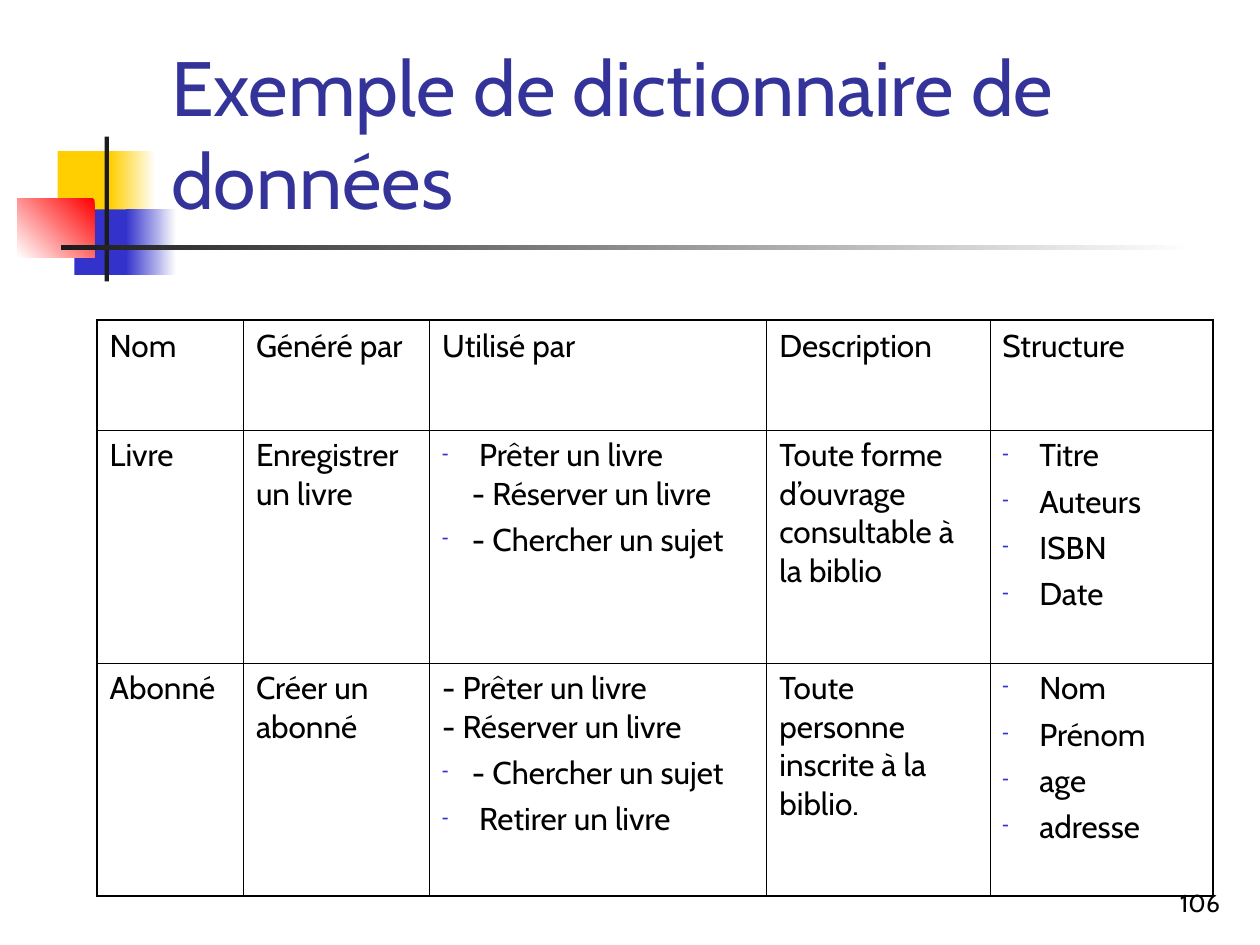
from dataclasses import dataclass
from typing import Any

from lxml import etree
from pptx import Presentation
from pptx.dml.color import RGBColor
from pptx.enum.shapes import MSO_SHAPE
from pptx.enum.text import MSO_ANCHOR, PP_ALIGN
from pptx.oxml.ns import qn
from pptx.util import Pt

RECTANGLE = MSO_SHAPE.RECTANGLE
BOTTOM = MSO_ANCHOR.BOTTOM
LEFT, RIGHT = PP_ALIGN.LEFT, PP_ALIGN.RIGHT

FONT = "Cabin"
WHITE, BLACK, CHARCOAL = "FFFFFF", "000000", "1C1C1C"
YELLOW, BLUE, RED, TITLE_BLUE = "FFCF01", "3333CC", "FF0000", "333399"
OUTER_BORDER, INNER_BORDER = 1.08, 0.45
BULLET_INDENT = 17
PARAGRAPH_GAP = 4.5


@dataclass
class Block:
    """Rectangle of the ornament; it fades to end_color when one is given."""
    left: float
    top: float
    width: float
    height: float
    color: str
    end_color: str = ""
    angle: float = 0  # counter-clockwise


@dataclass
class Entry:
    """Paragraph of a table cell."""
    text: str
    bulleted: bool = False


ORNAMENT = [
    Block(33, 86.4, 34.5, 37.5, YELLOW),
    Block(63, 86.4, 26, 37.5, WHITE, YELLOW, 180),
    Block(42.5, 119.6, 33, 37.5, BLUE),
    Block(72, 119.6, 28.8, 37.5, WHITE, BLUE, 180),
    Block(10, 113.6, 44, 33.4, RED, WHITE, 225),
    Block(59.8, 78, 2.5, 82.8, CHARCOAL),
    Block(34.7, 140.2, 648, 2.5, WHITE, CHARCOAL, 180),
]


def bullets(*texts: str) -> list[Entry]:
    return [Entry(text, True) for text in texts]


COLUMN_WIDTHS = [83.6, 106.4, 192.7, 127.5, 127.5]
ROW_HEIGHTS = [62.8, 133.1, 133.1]
DICTIONARY = [
    [[Entry(heading)] for heading in
     ("Nom", "Généré par", "Utilisé par", "Description", "Structure")],
    [
        [Entry("Livre")],
        [Entry("Enregistrer un livre")],
        bullets(" Prêter un livre\v- Réserver un livre", "- Chercher un sujet"),
        [Entry("Toute forme d’ouvrage consultable à la biblio")],
        bullets(" Titre", " Auteurs", " ISBN", " Date"),
    ],
    [
        [Entry("Abonné")],
        [Entry("Créer un abonné")],
        [Entry("- Prêter un livre\v- Réserver un livre"),
         *bullets("- Chercher un sujet", " Retirer un livre")],
        [Entry("Toute personne inscrite à la biblio.")],
        bullets(" Nom", " Prénom", " age", " adresse"),
    ],
]


def rgb(color: str) -> RGBColor:
    return RGBColor.from_string(color)


def set_all(target: Any, values: dict[str, Any]) -> None:
    for attribute, value in values.items():
        setattr(target, attribute, value)


def style_runs(paragraph: Any, size: float, color: str) -> None:
    for run in paragraph.runs:
        set_all(run.font, {"name": FONT, "size": Pt(size)})
        run.font.color.rgb = rgb(color)


def add_block(slide: Any, block: Block) -> None:
    rectangle = slide.shapes.add_shape(
        RECTANGLE, Pt(block.left), Pt(block.top), Pt(block.width), Pt(block.height))
    rectangle.shadow.inherit = False
    rectangle.line.fill.background()
    fill = rectangle.fill
    if block.end_color:
        fill.gradient()
        fill.gradient_angle = block.angle
        for stop, color in zip(fill.gradient_stops, (block.color, block.end_color)):
            stop.color.rgb = rgb(color)
    else:
        fill.solid()
        fill.fore_color.rgb = rgb(block.color)


def add_label(slide: Any, text: str, left: float, top: float, width: float,
              height: float, size: float, color: str, alignment: Any) -> None:
    frame = slide.shapes.add_textbox(
        Pt(left), Pt(top), Pt(width), Pt(height)).text_frame
    set_all(frame, {"word_wrap": True, "vertical_anchor": BOTTOM, "text": text})
    paragraph = frame.paragraphs[0]
    paragraph.alignment = alignment
    style_runs(paragraph, size, color)


def add_bullet(paragraph: Any) -> None:
    properties = paragraph._p.get_or_add_pPr()
    properties.set("marL", str(Pt(BULLET_INDENT)))
    properties.set("indent", str(-Pt(BULLET_INDENT)))
    bullet_color = etree.SubElement(properties, qn("a:buClr"))
    etree.SubElement(bullet_color, qn("a:srgbClr"), val=BLUE)
    etree.SubElement(properties, qn("a:buSzPct"), val="60000")
    etree.SubElement(properties, qn("a:buChar"), char="-")


def add_borders(cell: Any, widths: dict[str, float]) -> None:
    properties = cell._tc.get_or_add_tcPr()
    for side, width in widths.items():
        border = etree.SubElement(properties, qn(f"a:ln{side}"), w=str(Pt(width)))
        fill = etree.SubElement(border, qn("a:solidFill"))
        etree.SubElement(fill, qn("a:srgbClr"), val=BLACK)


def fill_cell(cell: Any, entries: list[Entry]) -> None:
    frame = cell.text_frame
    for index, entry in enumerate(entries):
        paragraph = frame.add_paragraph() if index else frame.paragraphs[0]
        paragraph.text = entry.text
        if entry.bulleted:
            add_bullet(paragraph)
        if index:
            paragraph.space_before = Pt(PARAGRAPH_GAP)
        style_runs(paragraph, 18, BLACK)


def add_dictionary(slide: Any, left: float, top: float) -> None:
    last_row, last_column = len(ROW_HEIGHTS) - 1, len(COLUMN_WIDTHS) - 1
    table = slide.shapes.add_table(
        len(ROW_HEIGHTS), len(COLUMN_WIDTHS), Pt(left), Pt(top),
        Pt(sum(COLUMN_WIDTHS)), Pt(sum(ROW_HEIGHTS))).table
    set_all(table, {"first_row": False, "horz_banding": False})
    for column, width in zip(table.columns, COLUMN_WIDTHS):
        column.width = Pt(width)
    for row, height in zip(table.rows, ROW_HEIGHTS):
        row.height = Pt(height)
    for r, row_entries in enumerate(DICTIONARY):
        for c, entries in enumerate(row_entries):
            cell = table.cell(r, c)
            on_edge = {"L": c == 0, "R": c == last_column,
                       "T": r == 0, "B": r == last_row}
            add_borders(cell, {side: OUTER_BORDER if outer else INNER_BORDER
                               for side, outer in on_edge.items()})
            cell.fill.background()
            fill_cell(cell, entries)


def main() -> None:
    presentation = Presentation()
    set_all(presentation, {"slide_width": Pt(720), "slide_height": Pt(540)})
    slide = presentation.slides.add_slide(presentation.slide_layouts[6])

    # Ornament and rule beside the title
    for block in ORNAMENT:
        add_block(slide, block)

    # Title
    add_label(slide, "Exemple de dictionnaire de données",
              90.7, 16.6, 613.4, 115.2, 44, TITLE_BLUE, LEFT)

    # Data dictionary
    add_dictionary(slide, 55.5, 183)

    # Page number
    add_label(slide, "106", 554.4, 491.8, 149.8, 36, 14, BLACK, RIGHT)

    presentation.save("out.pptx")


if __name__ == "__main__":
    main()
